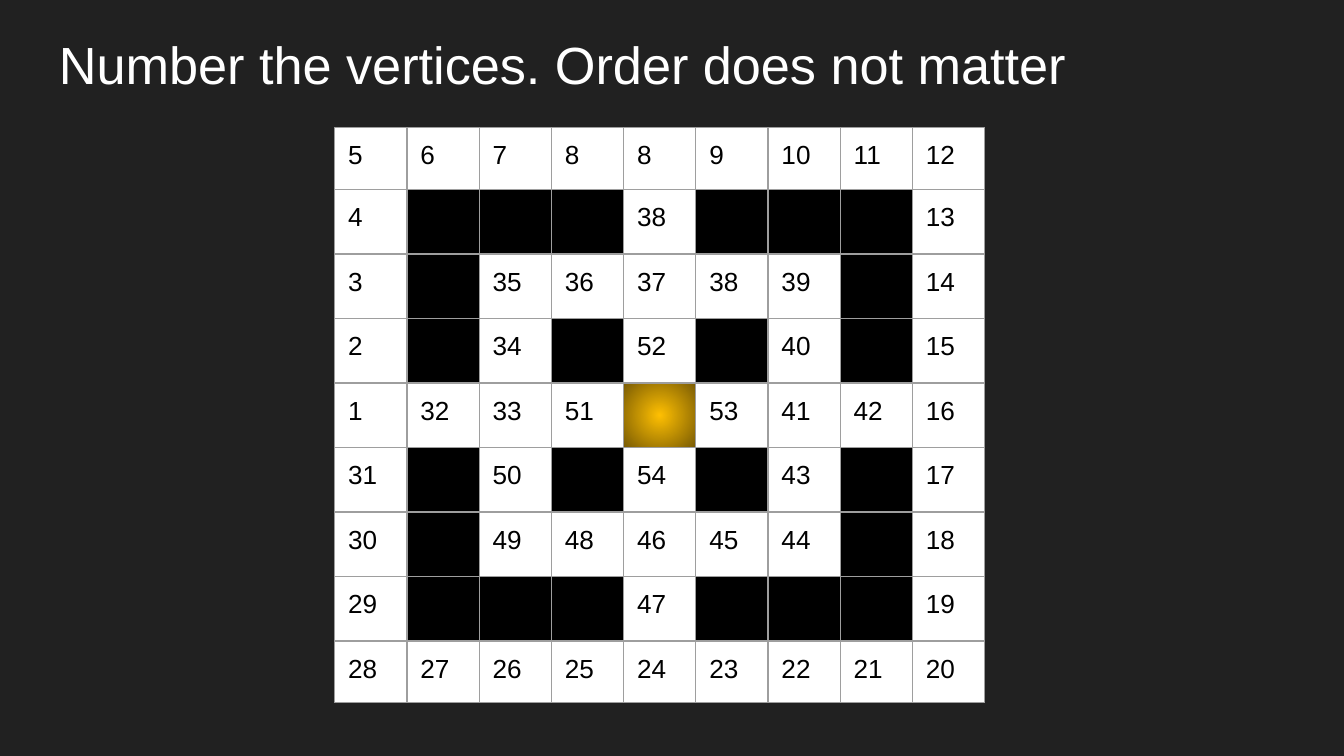
from pptx import Presentation
from pptx.dml.color import RGBColor
from pptx.oxml import parse_xml
from pptx.oxml.ns import nsdecls, qn
from pptx.util import Inches, Pt

COLORS = {
    "background": "212121",
    "title": "FFFFFF",
    "path": "FFFFFF",
    "wall": "000000",
    "number": "000000",
    "border": "9E9E9E",
    "goal_center": "FFC002",
    "goal_edge": "795B04",
}
FONT = "Arial"
WALL, GOAL = "#", "*"
MAZE = [row.split() for row in (
    "5 6 7 8 8 9 10 11 12",
    "4 # # # 38 # # # 13",
    "3 # 35 36 37 38 39 # 14",
    "2 # 34 # 52 # 40 # 15",
    "1 32 33 51 * 53 41 42 16",
    "31 # 50 # 54 # 43 # 17",
    "30 # 49 48 46 45 44 # 18",
    "29 # # # 47 # # # 19",
    "28 27 26 25 24 23 22 21 20",
)]
MAZE_WIDTH = Inches(4.84)
OUTER_ROW, INNER_ROW = Inches(0.46), Inches(0.48)
MARGIN = Inches(0.1)


def color(name):
    return RGBColor.from_string(COLORS[name])


def set_margins(holder):
    holder.margin_left = holder.margin_right = MARGIN
    holder.margin_top = holder.margin_bottom = MARGIN


def write(text_frame, text, size, color_name):
    text_frame.text = text
    font = text_frame.paragraphs[0].runs[0].font
    font.name = FONT
    font.size = Pt(size)
    font.color.rgb = color(color_name)


def add_title(slide, text):
    title = slide.shapes.add_textbox(Inches(0.34), Inches(0.14), Inches(7.75), Inches(0.59))
    title.text_frame.word_wrap = True
    set_margins(title.text_frame)
    write(title.text_frame, text, 28, "title")


def add_borders(cell):
    properties = cell._tc.get_or_add_tcPr()
    for side in ("lnL", "lnR", "lnT", "lnB"):
        properties.append(parse_xml(
            f'<a:{side} {nsdecls("a")} w="{Pt(0.75)}"><a:solidFill>'
            f'<a:srgbClr val="{COLORS["border"]}"/></a:solidFill></a:{side}>'))


def fill_goal(cell):
    """Fill the cell with a gradient that spreads from its center."""
    cell.fill.gradient()
    for stop, name in zip(cell.fill.gradient_stops, ("goal_center", "goal_edge")):
        stop.color.rgb = color(name)
    gradient = cell._tc.tcPr.find(qn("a:gradFill"))
    gradient.remove(gradient.find(qn("a:lin")))
    gradient.append(parse_xml(
        f'<a:path {nsdecls("a")} path="circle">'
        '<a:fillToRect l="50000" t="50000" r="50000" b="50000"/></a:path>'))


def fill_cell(cell, mark):
    add_borders(cell)
    if mark == GOAL:
        fill_goal(cell)
        return
    cell.fill.solid()
    cell.fill.fore_color.rgb = color("wall" if mark == WALL else "path")
    if mark != WALL:
        set_margins(cell)
        write(cell.text_frame, mark, 14, "number")


def add_maze(slide):
    size = len(MAZE)
    heights = [OUTER_ROW] + [INNER_ROW] * (size - 2) + [OUTER_ROW]
    maze = slide.shapes.add_table(
        size, size, Inches(2.49), Inches(0.95), MAZE_WIDTH, sum(heights)).table
    maze.first_row = maze.horz_banding = False
    for column in maze.columns:
        column.width = MAZE_WIDTH // size
    for row, height, marks in zip(maze.rows, heights, MAZE):
        row.height = height
        for cell, mark in zip(row.cells, marks):
            fill_cell(cell, mark)


def main():
    presentation = Presentation()
    presentation.slide_width = Inches(10)
    presentation.slide_height = presentation.slide_width * 9 // 16
    slide = presentation.slides.add_slide(presentation.slide_layouts[6])
    slide.background.fill.solid()
    slide.background.fill.fore_color.rgb = color("background")
    add_maze(slide)
    add_title(slide, "Number the vertices. Order does not matter")
    presentation.save("out.pptx")


if __name__ == "__main__":
    main()
